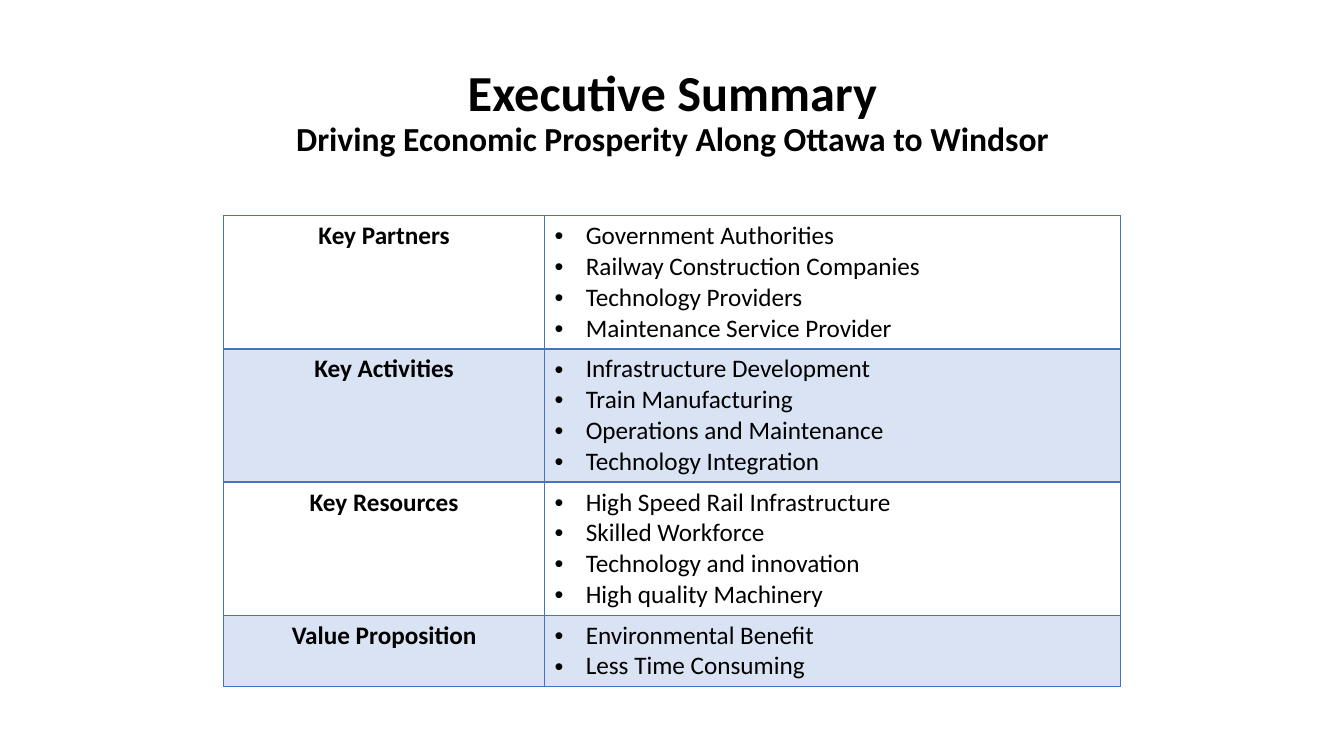
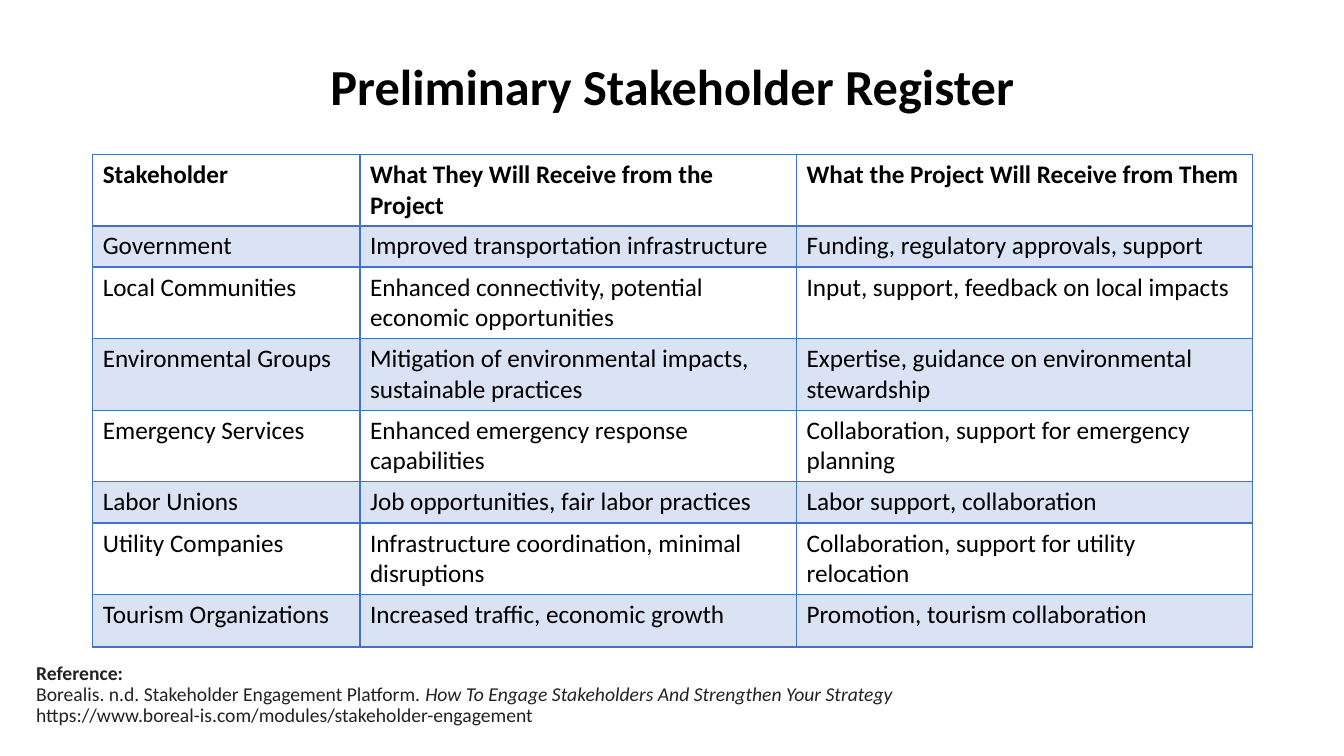
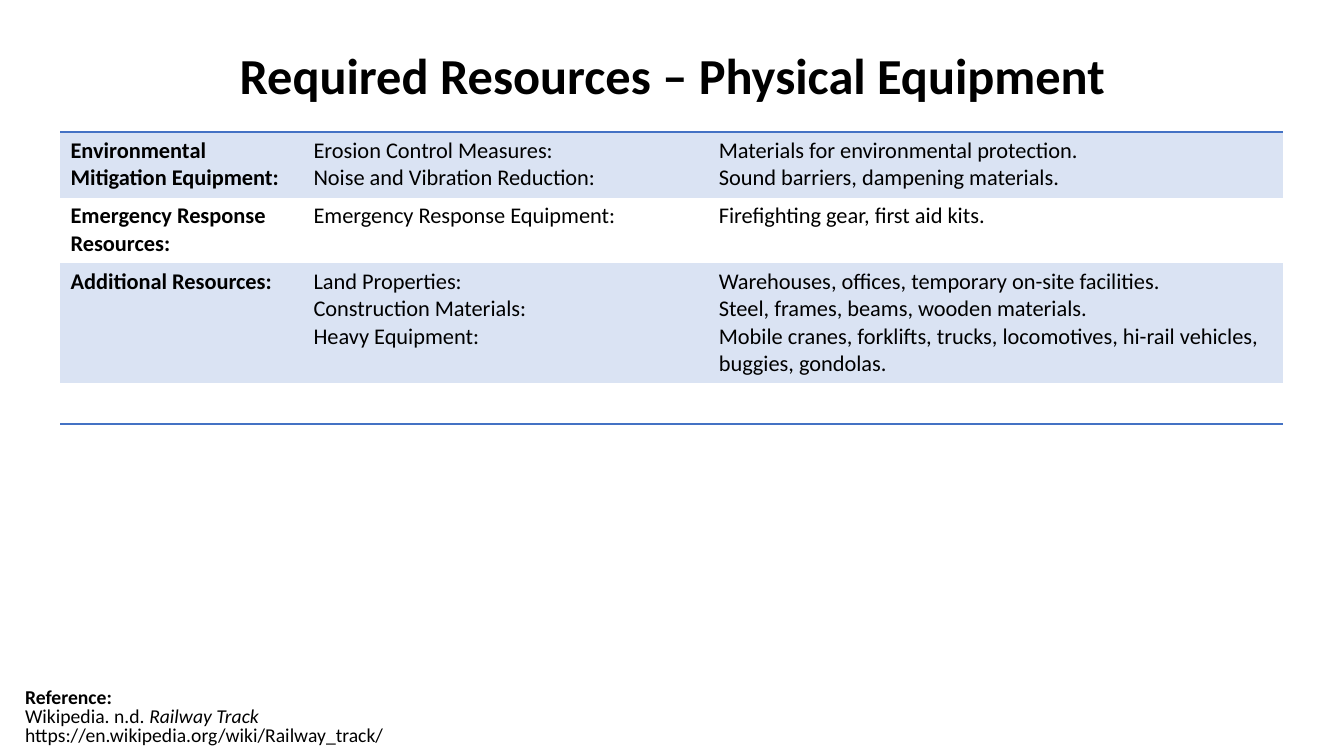
from dataclasses import dataclass

from lxml import etree
from pptx import Presentation
from pptx.dml.color import RGBColor
from pptx.enum import text
from pptx.oxml import ns
from pptx.util import Inches, Pt


@dataclass(frozen=True)
class Theme:
    font: str = "Calibri"
    black: str = "000000"
    reference_grey: str = "222222"
    line: str = "4472C4"
    band: str = "DAE3F3"
    title_size: int = 36
    subtitle_size: int = 24
    table_size: int = 18
    compact_size: int = 16
    reference_size: int = 14
    plain_table_style: str = "{2D5ABB26-0587-4C30-8999-92F81FD0307C}"


THEME = Theme()
GRID = {"L": 1, "R": 1, "T": 1, "B": 1}

SUMMARY = [
    ("Key Partners", ["Government Authorities", "Railway Construction Companies",
                      "Technology Providers", "Maintenance Service Provider"]),
    ("Key Activities", ["Infrastructure Development", "Train Manufacturing",
                        "Operations and Maintenance", "Technology Integration"]),
    ("Key Resources", ["High Speed Rail Infrastructure", "Skilled Workforce",
                       "Technology and innovation", "High quality Machinery"]),
    ("Value Proposition", ["Environmental Benefit", "Less Time Consuming"]),
]

STAKEHOLDERS = [
    ("Stakeholder", "What They Will Receive from the Project",
     "What the Project Will Receive from Them"),
    ("Government", "Improved transportation infrastructure",
     "Funding, regulatory approvals, support"),
    ("Local Communities", "Enhanced connectivity, potential economic opportunities",
     "Input, support, feedback on local impacts"),
    ("Environmental Groups", "Mitigation of environmental impacts, sustainable practices",
     "Expertise, guidance on environmental stewardship"),
    ("Emergency Services", "Enhanced emergency response capabilities",
     "Collaboration, support for emergency planning"),
    ("Labor Unions", "Job opportunities, fair labor practices",
     "Labor support, collaboration"),
    ("Utility Companies", "Infrastructure coordination, minimal disruptions",
     "Collaboration, support for utility relocation"),
    ("Tourism Organizations", "Increased traffic, economic growth",
     "Promotion, tourism collaboration"),
]

EQUIPMENT = [
    ("Environmental Mitigation Equipment:",
     ["Erosion Control Measures:", "Noise and Vibration Reduction:"],
     ["Materials for environmental protection.", "Sound barriers, dampening materials."]),
    ("Emergency Response Resources:", "Emergency Response Equipment:",
     "Firefighting gear, first aid kits."),
    ("Additional Resources:",
     ["Land Properties:", "Construction Materials:", "Heavy Equipment:"],
     ["Warehouses, offices, temporary on-site facilities.",
      "Steel, frames, beams, wooden materials.",
      "Mobile cranes, forklifts, trucks, locomotives, hi-rail vehicles, buggies, gondolas."]),
    ("", "", ""),
]


def format_paragraph(paragraph, size, color=THEME.black, bold=False):
    font = paragraph.font
    font.name, font.size, font.bold = THEME.font, Pt(size), bold
    font.color.rgb = RGBColor.from_string(color)


def add_titled_slide(presentation, title, height, subtitle=None):
    slide = presentation.slides.add_slide(presentation.slide_layouts[5])
    shape = slide.shapes.title
    shape.left, shape.top = Inches(0.92), Inches(0.4)
    shape.width, shape.height = Inches(11.5), Inches(height)
    frame = shape.text_frame
    frame.word_wrap = True
    frame.auto_size = text.MSO_AUTO_SIZE.NONE
    frame.vertical_anchor = text.MSO_ANCHOR.MIDDLE
    paragraph = frame.paragraphs[0]
    paragraph.alignment = text.PP_ALIGN.CENTER
    paragraph.line_spacing = 0.9
    format_paragraph(paragraph, THEME.title_size, bold=True)
    paragraph.add_run().text = title
    if subtitle:
        paragraph.add_line_break()
        run = paragraph.add_run()
        run.text = subtitle
        run.font.size = Pt(THEME.subtitle_size)
    return slide


def add_reference(slide, box, source, work, address, color, spacing, alignment):
    frame = slide.shapes.add_textbox(*map(Inches, box)).text_frame
    frame.word_wrap = True
    lines = [["Reference:"], [source, work], [address]]
    for index, parts in enumerate(lines):
        paragraph = frame.add_paragraph() if index else frame.paragraphs[0]
        paragraph.alignment = alignment
        paragraph.line_spacing = spacing
        format_paragraph(paragraph, THEME.reference_size, color, bold=index == 0)
        for part in parts:
            run = paragraph.add_run()
            run.text = part
            if part == work:
                run.font.italic = True


def add_bullet(paragraph):
    properties = paragraph._p.get_or_add_pPr()
    properties.set("marL", str(Inches(0.31)))
    properties.set("indent", str(-Inches(0.31)))
    etree.SubElement(properties, ns.qn("a:buFont")).set("typeface", "Arial")
    etree.SubElement(properties, ns.qn("a:buChar")).set("char", "•")


def set_borders(cell, borders):
    """Draw the given sides, {side: points}, and leave the others without a line."""
    properties = cell._tc.get_or_add_tcPr()
    for side in "LRTB":
        line = etree.SubElement(properties, ns.qn(f"a:ln{side}"))
        if side in borders:
            line.set("w", str(Pt(borders[side])))
            fill = etree.SubElement(line, ns.qn("a:solidFill"))
            etree.SubElement(fill, ns.qn("a:srgbClr")).set("val", THEME.line)
        else:
            etree.SubElement(line, ns.qn("a:noFill"))


def fill_cell(cell, content, size, bold, alignment, bulleted):
    lines = [content] if isinstance(content, str) else content
    for index, line in enumerate(lines):
        paragraph = cell.text_frame.add_paragraph() if index else cell.text_frame.paragraphs[0]
        paragraph.alignment = alignment
        if bulleted:
            add_bullet(paragraph)
        format_paragraph(paragraph, size, bold=bold)
        if line:
            paragraph.add_run().text = line


def add_banded_table(slide, position, widths, heights, rows, borders, size=THEME.table_size,
                     first_band=1, bold_header=False, bold_labels=False,
                     label_alignment=text.PP_ALIGN.LEFT, bulleted=False):
    """Add a table; borders holds one {side: points} for each row."""
    left, top = position
    frame = slide.shapes.add_table(len(rows), len(widths), Inches(left), Inches(top),
                                   Inches(sum(widths)), Inches(sum(heights)))
    table = frame.table
    table.first_row = table.horz_banding = False
    table._tbl.tblPr.find(ns.qn("a:tableStyleId")).text = THEME.plain_table_style
    for column, width in zip(table.columns, widths):
        column.width = Inches(width)
    for row, height in zip(table.rows, heights):
        row.height = Inches(height)
    for row_index, contents in enumerate(rows):
        for column_index, content in enumerate(contents):
            cell = table.cell(row_index, column_index)
            is_label = column_index == 0
            bold = (bold_header and row_index == 0) or (bold_labels and is_label)
            alignment = label_alignment if is_label else text.PP_ALIGN.LEFT
            fill_cell(cell, content, size, bold, alignment, bulleted and not is_label)
            set_borders(cell, borders[row_index])
            if row_index % 2 == first_band:
                cell.fill.solid()
                cell.fill.fore_color.rgb = RGBColor.from_string(THEME.band)
            else:
                cell.fill.background()


def grid_borders(rows):
    return [GRID | {"B": 2}] + [GRID] * (len(rows) - 1)


def add_summary_slide(presentation):
    slide = add_titled_slide(presentation, "Executive Summary", 1.45,
                             "Driving Economic Prosperity Along Ottawa to Windsor")
    add_banded_table(slide, (2.22, 2.14), [3.18, 5.71], [1.32, 1.32, 1.32, 0.71], SUMMARY,
                     grid_borders(SUMMARY), bold_labels=True,
                     label_alignment=text.PP_ALIGN.CENTER, bulleted=True)


def add_stakeholder_slide(presentation):
    slide = add_titled_slide(presentation, "Preliminary Stakeholder Register", 0.98)
    add_reference(slide, (0.26, 6.53, 11.67, 0.74),
                  "Borealis. n.d. Stakeholder Engagement Platform. ",
                  "How To Engage Stakeholders And Strengthen Your Strategy",
                  "https://www.boreal-is.com/modules/stakeholder-engagement",
                  THEME.reference_grey, 0.9, text.PP_ALIGN.JUSTIFY)
    one_line, two_lines = 0.41, 0.71
    heights = [two_lines, one_line, two_lines, two_lines, two_lines, one_line, two_lines, 0.52]
    add_banded_table(slide, (0.92, 1.53), [2.65, 4.33, 4.52], heights, STAKEHOLDERS,
                     grid_borders(STAKEHOLDERS), bold_header=True)


def add_equipment_slide(presentation):
    slide = add_titled_slide(presentation, "Required Resources – Physical Equipment", 0.75)
    add_banded_table(slide, (0.6, 1.31), [2.41, 4.02, 5.7], [0.65, 0.65, 1.18, 0.41], EQUIPMENT,
                     [{"T": 1}, {}, {}, {"B": 1}], size=THEME.compact_size,
                     first_band=0, bold_labels=True)
    add_reference(slide, (0.15, 6.79, 13.04, 0.71), "Wikipedia. n.d. ", "Railway Track",
                  "https://en.wikipedia.org/wiki/Railway_track/",
                  THEME.black, 0.8, text.PP_ALIGN.LEFT)


def main():
    presentation = Presentation()
    presentation.slide_width, presentation.slide_height = Inches(13.33), Inches(7.5)
    add_summary_slide(presentation)
    add_stakeholder_slide(presentation)
    add_equipment_slide(presentation)
    presentation.save("out.pptx")


if __name__ == "__main__":
    main()
